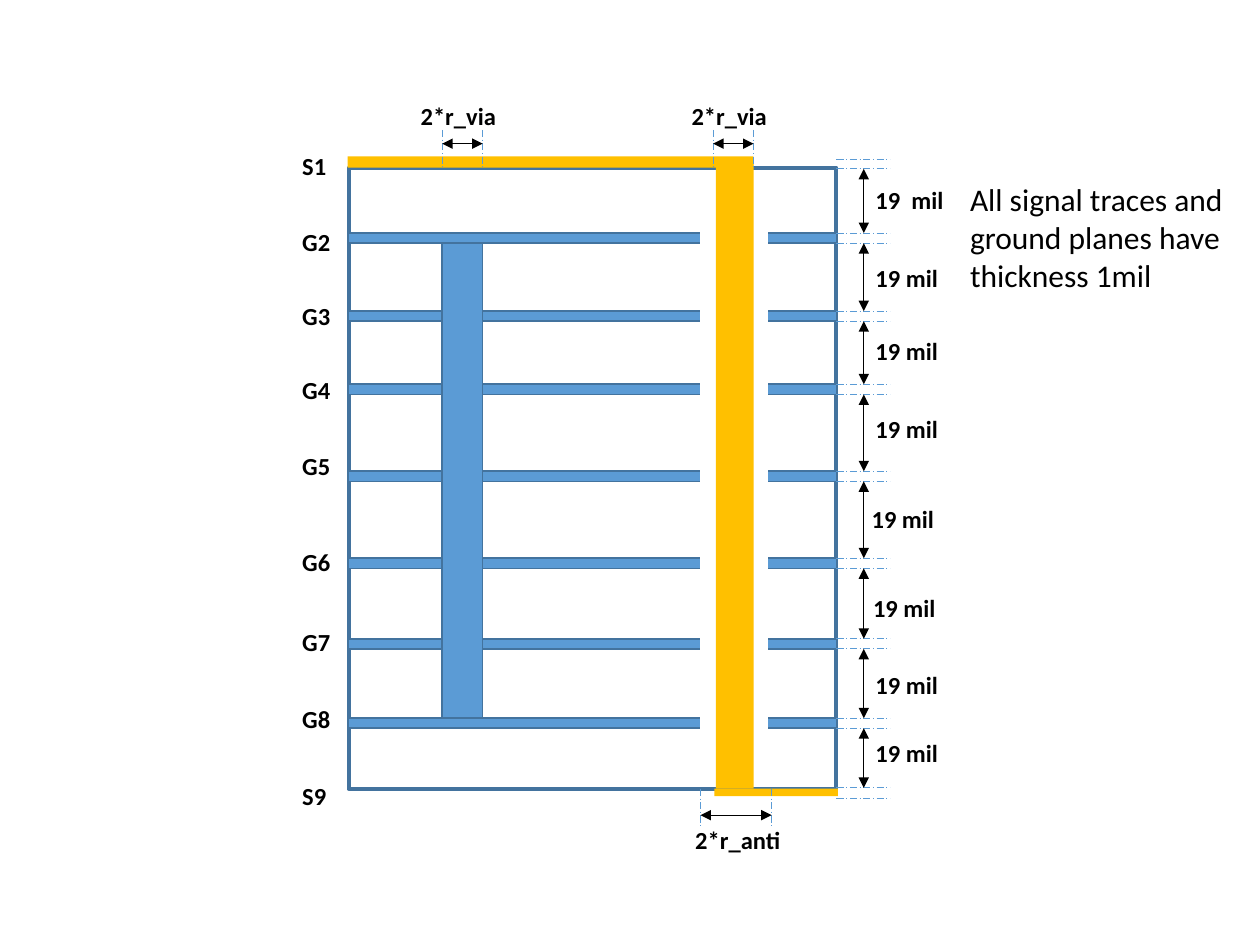
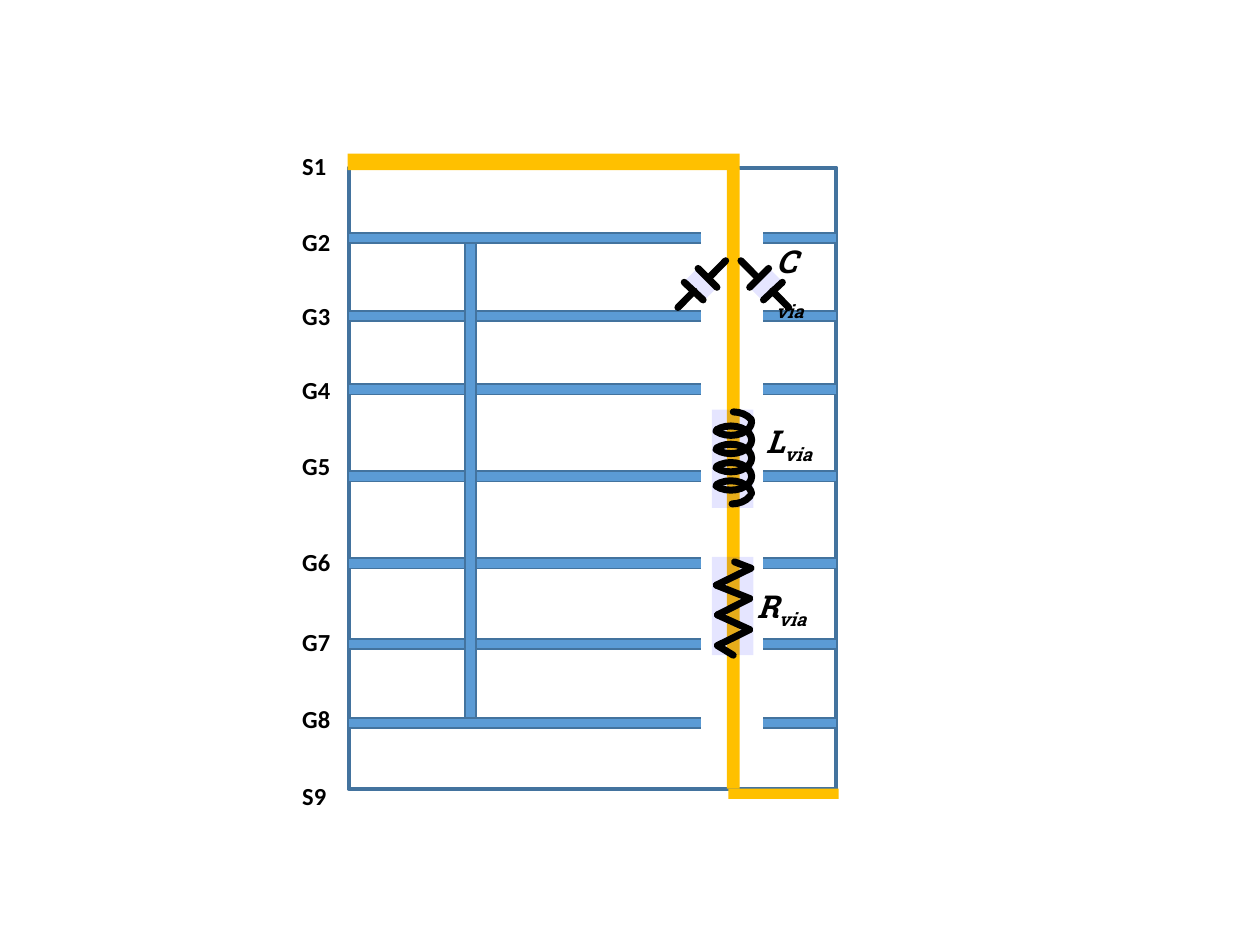
from dataclasses import dataclass
from itertools import pairwise

from lxml import etree
from pptx import Presentation
from pptx.dml.color import RGBColor
from pptx.enum.dml import MSO_LINE
from pptx.enum.shapes import MSO_CONNECTOR, MSO_SHAPE
from pptx.enum.text import MSO_AUTO_SIZE
from pptx.oxml.ns import qn
from pptx.util import Pt

RECTANGLE, ARC = MSO_SHAPE.RECTANGLE, MSO_SHAPE.ARC
STRAIGHT = MSO_CONNECTOR.STRAIGHT
LONG_DASH_DOT = MSO_LINE.LONG_DASH_DOT
FIT_SHAPE = MSO_AUTO_SIZE.SHAPE_TO_FIT_TEXT
BLANK_LAYOUT = 6


@dataclass(frozen=True)
class Theme:
    """Colours, fonts, type sizes and line widths of the deck."""
    copper: str = "5B9BD5"
    edge: str = "43739E"
    signal: str = "FFC000"
    tint: str = "0000FF"
    ink: str = "000000"
    paper: str = "FFFFFF"
    font: str = "Calibri"
    symbol_font: str = "Roboto Slab"
    label: int = 14
    note: int = 18
    hairline: float = 0.5
    outline: float = 1
    frame: float = 2.25
    stroke: float = 4


THEME = Theme()

# Board geometry in points
BOARD_LEFT, BOARD_TOP, BOARD_WIDTH, BOARD_HEIGHT = 199.2, 95.8, 278.8, 355
BOARD_RIGHT = BOARD_LEFT + BOARD_WIDTH
PLANE_THICKNESS = 5.8
PLANE_TOPS = (133.2, 177.8, 219.6, 269.3, 319, 365, 410.4)
VIA_TOP, VIA_HEIGHT = 139, 271.4
LAYER_TOPS = {"S1": 82.8, "G2": 126, "G3": 168.5, "G4": 211, "G5": 254.2,
              "G6": 308.9, "G7": 355, "G8": 398.9, "S9": 442.8}
# Left and top of the label in each gap between layers
GAP_LABELS = ((493.2, 102.2), (493.2, 146.9), (493.2, 188.6), (493.2, 233.3),
              (491, 284.4), (491.8, 335.5), (493.2, 379.4), (493.2, 418.3))
LABEL_HEIGHT = 24.2
GAP_LABEL_WIDTH = 62.6

# Right-hand capacitor strokes; the left-hand one mirrors them
CAPACITOR_STROKES = ((436.3, 171.4, 447.1, 161.3), (428.4, 164.2, 439.2, 153.4),
                     (432.7, 158.4, 423.4, 149), (441.4, 166.3, 450.7, 175.7))
MIRROR_SUM = 838.1
RESISTOR_POINTS = ((419.8, 321.1), (429.1, 324.7), (409.3, 334.4), (428.4, 342),
                   (410, 351.4), (428.4, 359.8), (410, 368.9), (419, 374.4))
# Coil turns: start and end of each arc
COIL_TURNS = ((162.44, 34.2), (75.12, 34.2), (75.12, 34.2), (75.12, 34.2),
              (75.12, 160.15))
COIL_END = (109.22, 150.8)


def add_box(shapes, left, top, width, height, kind=RECTANGLE, fill=None,
            alpha=None, line=None, weight=THEME.outline, rotation=0):
    """Add a preset shape with the given fill, outline and rotation."""
    box = shapes.add_shape(kind, Pt(left), Pt(top), Pt(width), Pt(height))
    box.shadow.inherit = False
    box.rotation = rotation
    if fill:
        box.fill.solid()
        box.fill.fore_color.rgb = RGBColor.from_string(fill)
        if alpha:
            colour = box._element.spPr.find(qn("a:solidFill")).find(qn("a:srgbClr"))
            etree.SubElement(colour, qn("a:alpha"), val=str(alpha * 1000))
    else:
        box.fill.background()
    if line:
        box.line.color.rgb = RGBColor.from_string(line)
        box.line.width = Pt(weight)
    else:
        box.line.fill.background()
    return box


def add_line(shapes, x1, y1, x2, y2, color=THEME.ink, weight=THEME.hairline,
             dash=None, arrows=False, rounded=False):
    """Add a straight line, optionally dashed, double-headed or round-capped."""
    line = shapes.add_connector(STRAIGHT, Pt(x1), Pt(y1), Pt(x2), Pt(y2))
    line.line.color.rgb = RGBColor.from_string(color)
    line.line.width = Pt(weight)
    if dash:
        line.line.dash_style = dash
    outline = line.line._get_or_add_ln()
    if rounded:
        outline.set("cap", "rnd")
    if arrows:
        for end in ("a:headEnd", "a:tailEnd"):
            etree.SubElement(outline, qn(end), type="triangle")
    etree.SubElement(line._element.spPr, qn("a:effectLst"))


def add_text(shapes, text, left, top, width, height=LABEL_HEIGHT, subscript="",
             size=THEME.label, font=THEME.font, bold=True, italic=False):
    """Add a text box holding one paragraph and an optional subscript."""
    box = shapes.add_textbox(Pt(left), Pt(top), Pt(width), Pt(height))
    frame = box.text_frame
    frame.word_wrap = True
    frame.auto_size = FIT_SHAPE
    para = frame.paragraphs[0]
    for part in filter(None, (text, subscript)):
        span = para.add_run()
        span.text = part
        span.font.size = Pt(size)
        span.font.name = font
        span.font.bold = bold
        span.font.italic = italic
        span.font.color.rgb = RGBColor.from_string(THEME.ink)
        if part == subscript:
            span._r.get_or_add_rPr().set("baseline", "-25000")


def add_symbol_label(shapes, letter, left, top, width, height=28.8):
    """Add an italic circuit symbol with the subscript 'via'."""
    add_text(shapes, letter, left, top, width, height, subscript="via",
             size=THEME.note, font=THEME.symbol_font, italic=True)


def add_guide(shapes, x1, y1, x2, y2):
    """Add a thin dash-dot guide line."""
    add_line(shapes, x1, y1, x2, y2, color=THEME.copper, dash=LONG_DASH_DOT)


def draw_board(shapes, trace_in, trace_out):
    """Draw the frame, signal traces, ground planes and layer names."""
    add_box(shapes, BOARD_LEFT, BOARD_TOP, BOARD_WIDTH, BOARD_HEIGHT,
            line=THEME.edge, weight=THEME.frame)
    add_box(shapes, *trace_in, fill=THEME.signal)
    for top in PLANE_TOPS:
        add_box(shapes, BOARD_LEFT, top, BOARD_WIDTH, PLANE_THICKNESS,
                fill=THEME.copper, line=THEME.edge)
    add_box(shapes, *trace_out, fill=THEME.signal)
    for name, top in LAYER_TOPS.items():
        add_text(shapes, name, 165.6, top, 37.4)


def draw_vias(shapes, ground, clearance, signal):
    """Draw the ground via, and the signal via inside its clearance.

    The first two are (left, width); the last is the box before its turn.
    """
    left, width = ground
    add_box(shapes, left, VIA_TOP, width, VIA_HEIGHT,
            fill=THEME.copper, line=THEME.edge)
    left, width = clearance
    add_box(shapes, left, 126.7, width, 296.6, fill=THEME.paper, line=THEME.paper)
    add_box(shapes, *signal, fill=THEME.signal, rotation=90)


def draw_gap_dimensions(shapes):
    """Mark the distance between each pair of neighbouring layers."""
    layers = [(91.4, 96.5)]
    layers += [(top, top + PLANE_THICKNESS) for top in PLANE_TOPS]
    layers.append((450.2, 456.5))
    for y in (edge for layer in layers for edge in layer):
        add_guide(shapes, BOARD_RIGHT, y, BOARD_RIGHT + 30.6, y)
    for (_, start), (end, _) in pairwise(layers):
        add_line(shapes, 493.6, start, 493.6, end, arrows=True)
    for index, (left, top) in enumerate(GAP_LABELS):
        text = "19 mil" if index else "19  mil"
        add_text(shapes, text, left, top, GAP_LABEL_WIDTH)


def draw_width_dimension(shapes, text, left, right, guide_top, arrow_y, label):
    """Mark a width with two guides, an arrow and a label (left, top, width)."""
    for x in (left, right):
        add_guide(shapes, x, guide_top, x, guide_top + 21.6)
    add_line(shapes, right, arrow_y, left, arrow_y, arrows=True)
    add_text(shapes, text, *label)


def draw_capacitor(slide, mirrored=False):
    """Draw one capacitor; the mirrored one leans the other way."""
    shapes = slide.shapes.add_group_shape().shapes
    left, width, turn = 429.8, 15.8, 314.7
    if mirrored:
        left, turn = MIRROR_SUM - left - width, 360 - turn
    add_box(shapes, left, 157.2, width, 10.8, fill=THEME.tint, alpha=10,
            rotation=turn)
    for x1, y1, x2, y2 in CAPACITOR_STROKES:
        if mirrored:
            x1, x2 = MIRROR_SUM - x1, MIRROR_SUM - x2
        add_line(shapes, x1, y1, x2, y2, weight=THEME.stroke, rounded=True)


def draw_coil_arc(shapes, left, top, width, angles, rotation=90, flipped=False):
    """Draw one round-capped arc of the coil."""
    arc = add_box(shapes, left, top, width, 23.8, kind=ARC, line=THEME.ink,
                  weight=THEME.stroke, rotation=rotation)
    arc.adjustments[0], arc.adjustments[1] = angles
    arc.line._get_or_add_ln().set("cap", "rnd")
    if flipped:
        arc._element.spPr.find(qn("a:xfrm")).set("flipV", "1")


def draw_inductor(slide):
    """Draw the coil with its tinted background and label."""
    shapes = slide.shapes.add_group_shape().shapes
    add_box(shapes, 406.8, 234, 23.8, 56.2, fill=THEME.tint, alpha=10)
    add_symbol_label(shapes, "L", 430.6, 237.6, 45.4)
    for turn, angles in enumerate(COIL_TURNS):
        draw_coil_arc(shapes, 409.7, 229 + 10.44 * turn, 15.8, angles)
    draw_coil_arc(shapes, 410.4, 231.8, 16.6, COIL_END)
    draw_coil_arc(shapes, 409.7, 267.8, 16.6, COIL_END, rotation=270, flipped=True)


def draw_resistor(slide):
    """Draw the zigzag with its tinted background and label."""
    shapes = slide.shapes.add_group_shape().shapes
    add_box(shapes, 406.8, 318.2, 23.8, 56.2, fill=THEME.tint, alpha=10)
    for start, end in pairwise(RESISTOR_POINTS):
        add_line(shapes, *start, *end, weight=THEME.stroke, rounded=True)
    add_symbol_label(shapes, "R", 425.5, 331.9, 47.5)


def build_dimensions_slide(slide):
    """Show the layer stack with its dimensions."""
    shapes = slide.shapes
    draw_board(shapes, (198.7, 89.3, 231.8, 6.5), (408.2, 450.7, 70.6, 4.3))
    draw_gap_dimensions(shapes)
    add_text(shapes, "All signal traces and ground planes have thickness 1mil",
             547.2, 99.4, 166.3, 72.7, size=THEME.note, bold=False)
    draw_vias(shapes, (252.7, 23), (400.3, 38.2), (239.8, 259.9, 360, 21.6))
    draw_width_dimension(shapes, "2*r_via", 252.7, 275.8, 74.2, 82.1,
                         (233.3, 54, 62.6))
    draw_width_dimension(shapes, "2*r_via", 407.5, 430.6, 74.2, 82.1,
                         (388.1, 54, 62.6))
    draw_width_dimension(shapes, "2*r_anti", 400.3, 440.9, 450.7, 465.8,
                         (390.2, 468, 71.3))


def build_circuit_slide(slide):
    """Show the equivalent circuit of the signal via."""
    shapes = slide.shapes
    draw_board(shapes, (198.7, 87.8, 223.9, 9.4), (416.2, 450.7, 63, 5.8))
    draw_vias(shapes, (265.7, 6.5), (401, 34.6), (241.9, 270, 354.2, 7.2))
    draw_capacitor(slide)
    add_symbol_label(shapes, "C", 436.3, 134.6, 31.7, 19.4)
    draw_capacitor(slide, mirrored=True)
    draw_inductor(slide)
    draw_resistor(slide)


def main():
    """Build and save the deck."""
    deck = Presentation()
    deck.slide_width, deck.slide_height = Pt(720), Pt(540)
    for build in (build_dimensions_slide, build_circuit_slide):
        build(deck.slides.add_slide(deck.slide_layouts[BLANK_LAYOUT]))
    deck.save("out.pptx")


main()
